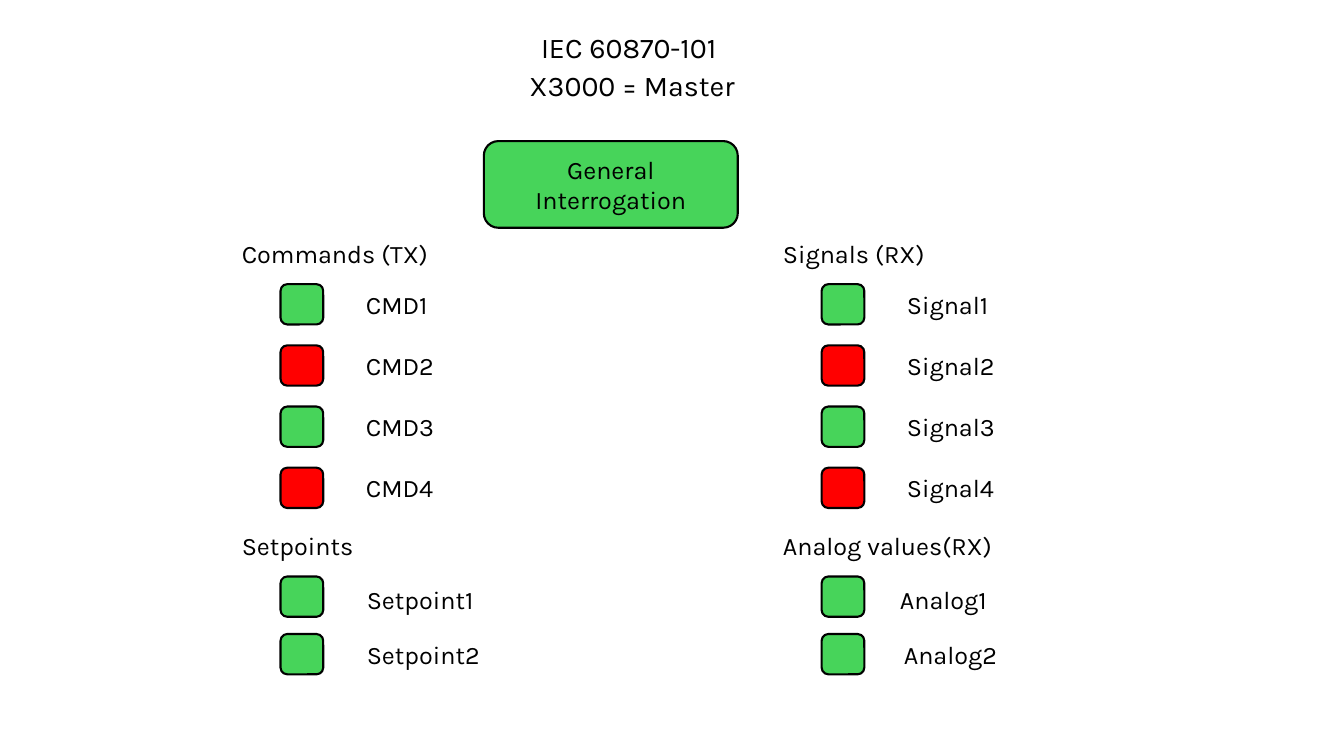
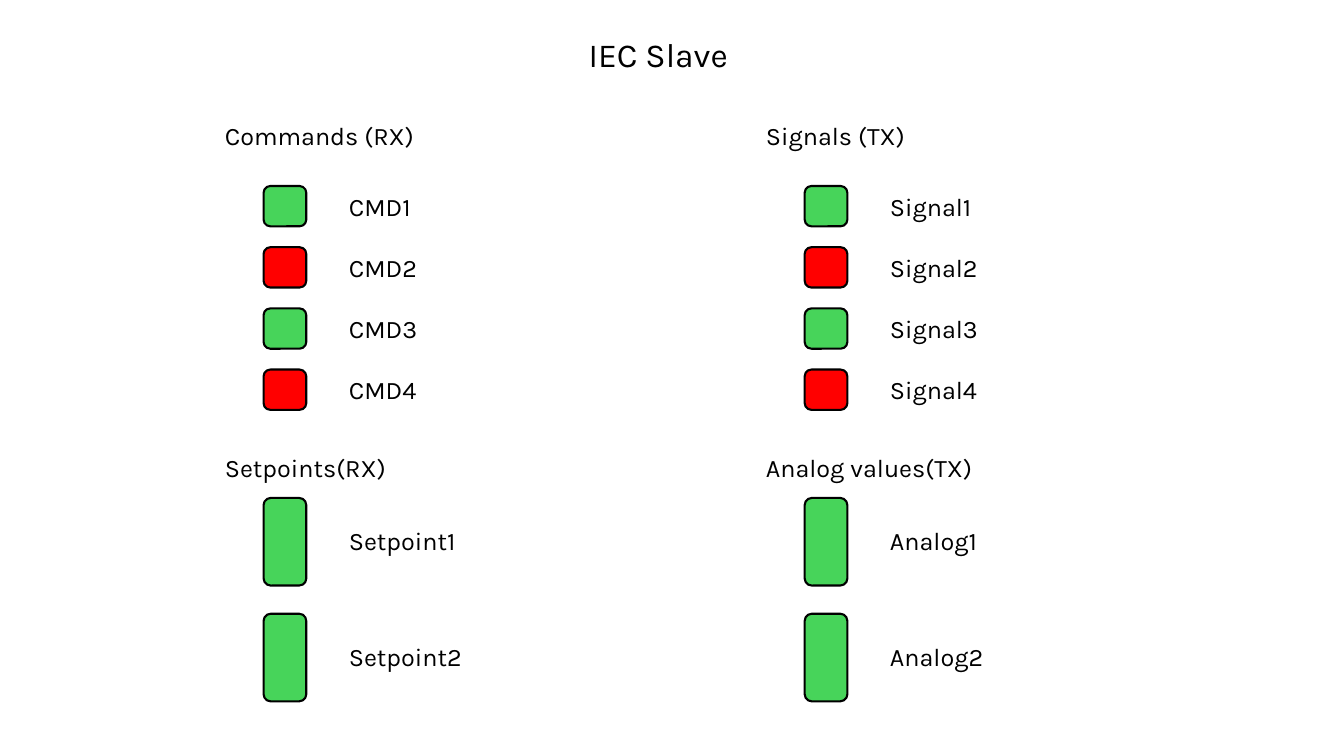
"""Build two status panels for an IEC master and its slave."""
import pptx
import pptx.dml.color
import pptx.enum.shapes
import pptx.enum.text
import pptx.util

Pt = pptx.util.Pt
Align = pptx.enum.text.PP_ALIGN
Anchor = pptx.enum.text.MSO_ANCHOR

COLORS = {"on": "47D45A", "off": "FF0000", "ink": "000000"}
FONT = "Karla"
BODY_SIZE = 18
LAMP_WIDTH, ROW_HEIGHT = 30.5, 28.8
LAMP_INDENT, LABEL_INDENT = 34.8, 88.6
COLUMN_STEP = 386.5
ALTERNATING = ["on", "off", "on", "off"]
ALL_ON = ["on", "on"]


class Panel:
    def __init__(self, deck):
        self.deck = deck
        self.slide = None

    def new_slide(self):
        self.slide = self.deck.slides.add_slide(self.deck.slide_layouts[6])

    def color(self, name):
        return pptx.dml.color.RGBColor.from_string(COLORS[name])

    def fill_text(self, frame, lines, size=BODY_SIZE, align=Align.LEFT, spacing=None):
        frame.word_wrap = True
        frame.text = "\n".join(lines)
        for index, paragraph in enumerate(frame.paragraphs):
            paragraph.alignment = align
            paragraph.line_spacing = spacing
            if index:
                paragraph.space_before = Pt(10)
            for run in paragraph.runs:
                run.font.name = FONT
                run.font.size = Pt(size)
                run.font.color.rgb = self.color("ink")

    def text(self, lines, left, top, width, height=ROW_HEIGHT, **style):
        box = self.slide.shapes.add_textbox(Pt(left), Pt(top), Pt(width), Pt(height))
        self.fill_text(box.text_frame, lines, **style)

    def title(self, lines, left, top, size, spacing):
        self.text(lines, left, top, 360, 50, size=size, align=Align.CENTER, spacing=spacing)

    def block(self, state, left, top, width, height):
        block = self.slide.shapes.add_shape(
            pptx.enum.shapes.MSO_SHAPE.ROUNDED_RECTANGLE,
            Pt(left), Pt(top), Pt(width), Pt(height))
        block.shadow.inherit = False
        block.fill.solid()
        block.fill.fore_color.rgb = self.color(state)
        block.line.color.rgb = self.color("ink")
        block.line.width = Pt(1.5)
        return block

    def button(self, caption, left, top, width, height):
        frame = self.block("on", left, top, width, height).text_frame
        frame.vertical_anchor = Anchor.MIDDLE
        self.fill_text(frame, [caption], align=Align.CENTER)

    def group(self, heading, item, states, left, heading_top, first_top, step,
              lamp_height=ROW_HEIGHT, nudges=()):
        self.text([heading], left, heading_top, 212)
        for index, state in enumerate(states):
            top = first_top + index * step
            self.block(state, left + LAMP_INDENT, top, LAMP_WIDTH, lamp_height)
            across, down = nudges[index] if nudges else (0, 0)
            label_top = top + (lamp_height - ROW_HEIGHT) / 2 + down
            self.text([f"{item}{index + 1}"], left + LABEL_INDENT + across, label_top, 98)


def build_master(panel):
    panel.new_slide()
    panel.title(["IEC 60870-101 ", "X3000 = Master"], 271.5, 24.5, 20.4, 0.7)
    panel.button("General Interrogation", 345.6, 100.8, 181.4, 61.9)
    left = 165.6
    right = left + COLUMN_STEP
    signals = dict(heading_top=166.8, first_top=203, step=43.7)
    values = dict(heading_top=375.2, first_top=411.8, step=41.1)
    panel.group("Commands (TX)", "CMD", ALTERNATING, left, **signals)
    panel.group("Setpoints", "Setpoint", ALL_ON, left, **values, nudges=[(0.7, 2.2), (0.7, 0)])
    panel.group("Signals (RX)", "Signal", ALTERNATING, right, **signals)
    panel.group("Analog values(RX)", "Analog", ALL_ON, right, **values,
                nudges=[(-5, 2.2), (-2.2, 0)])


def build_slave(panel):
    panel.new_slide()
    panel.title(["IEC Slave"], 290.2, 23.8, 24, 0.9)
    left = 153.5
    right = left + COLUMN_STEP
    signals = dict(heading_top=82.1, first_top=132.9, step=43.7)
    values = dict(heading_top=319.7, first_top=355.7, step=82.7, lamp_height=62.6,
                  nudges=[(0, -1), (0, -1)])
    panel.group("Commands (RX)", "CMD", ALTERNATING, left, **signals)
    panel.group("Setpoints(RX)", "Setpoint", ALL_ON, left, **values)
    panel.group("Signals (TX)", "Signal", ALTERNATING, right, **signals)
    panel.group("Analog values(TX)", "Analog", ALL_ON, right, **values)


def main():
    deck = pptx.Presentation()
    deck.slide_width, deck.slide_height = Pt(960), Pt(540)
    panel = Panel(deck)
    build_master(panel)
    build_slave(panel)
    deck.save("out.pptx")


if __name__ == "__main__":
    main()
